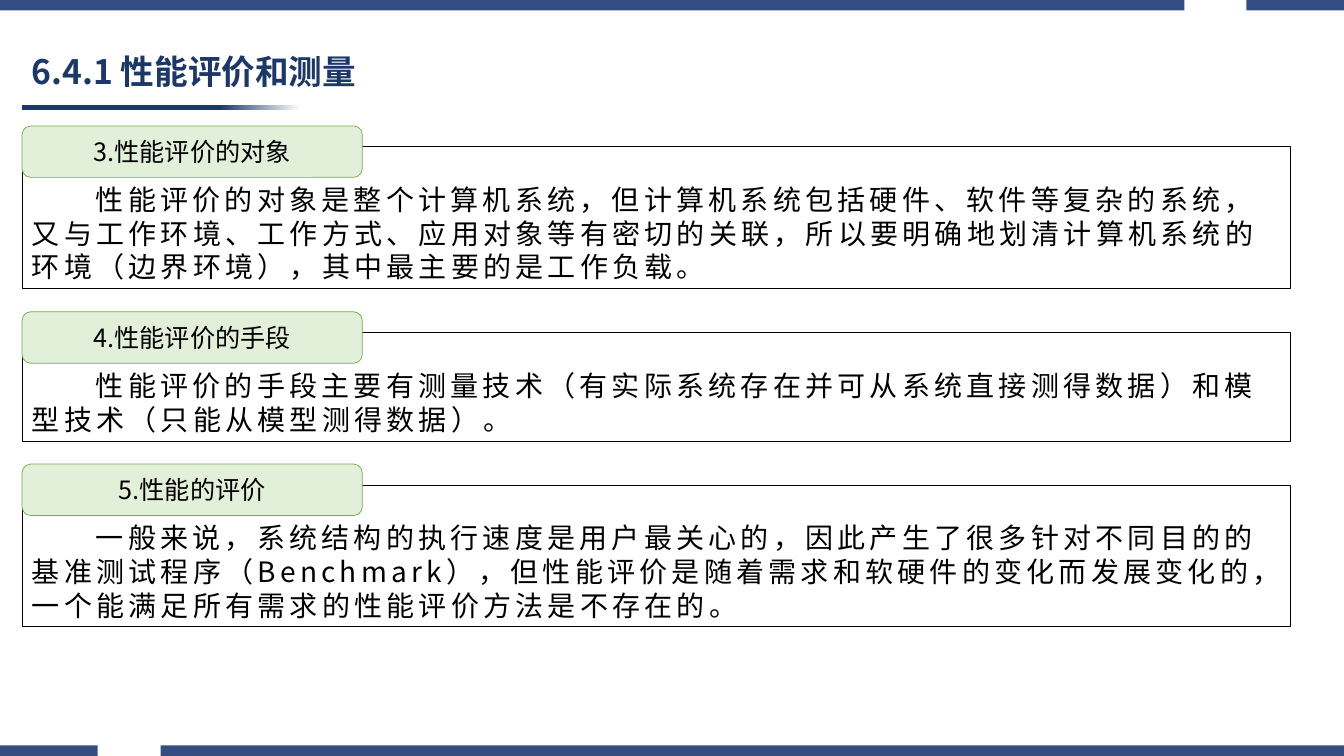
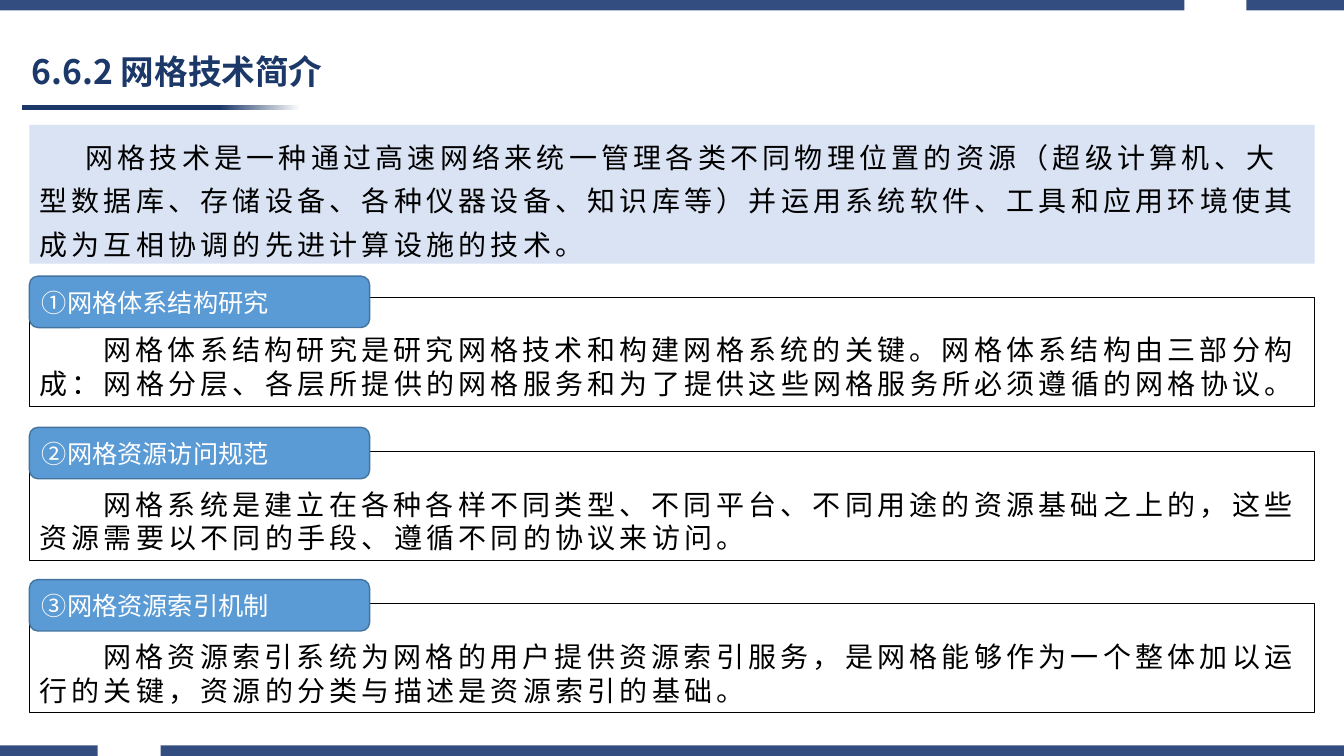
from pptx import Presentation
from pptx.dml.color import RGBColor
from pptx.enum.shapes import MSO_SHAPE
from pptx.enum.text import MSO_ANCHOR, PP_ALIGN
from pptx.util import Pt

RECTANGLE = MSO_SHAPE.RECTANGLE
ROUNDED = MSO_SHAPE.ROUNDED_RECTANGLE
TOP, MIDDLE = MSO_ANCHOR.TOP, MSO_ANCHOR.MIDDLE
LEFT, CENTER = PP_ALIGN.LEFT, PP_ALIGN.CENTER

PX = 9525
WIDTH, HEIGHT = 1280, 720
BAND_HEIGHT = 10
FONT = "Noto Sans CJK SC"
COLORS = {
    "navy": "1B3868", "band": "334D80", "white": "FFFFFF", "black": "000000",
    "green": "E2F0D9", "green_line": "70AD47",
    "blue": "5B9BD5", "blue_line": "43739E", "pale_blue": "DAE3F3",
}
GREEN_TAG = {"fill": "green", "line": "green_line", "line_width": 0.5}
BLUE_TAG = {"fill": "blue", "line": "blue_line", "line_width": 1}

PERFORMANCE_SECTIONS = [
    (120, 140, 135, "3.性能评价的对象",
     "性能评价的对象是整个计算机系统，但计算机系统包括硬件、软件等复杂的系统，又与工作环境、工作方式、应用对象等有密切的关联，所以要明确地划清计算机系统的环境（边界环境），其中最主要的是工作负载。"),
    (297, 317, 104, "4.性能评价的手段",
     "性能评价的手段主要有测量技术（有实际系统存在并可从系统直接测得数据）和模型技术（只能从模型测得数据）。"),
    (442, 462, 135, "5.性能的评价",
     "一般来说，系统结构的执行速度是用户最关心的，因此产生了很多针对不同目的的基准测试程序（Benchmark），但性能评价是随着需求和软硬件的变化而发展变化的，一个能满足所有需求的性能评价方法是不存在的。"),
]
GRID_INTRO = "网格技术是一种通过高速网络来统一管理各类不同物理位置的资源（超级计算机、大型数据库、存储设备、各种仪器设备、知识库等）并运用系统软件、工具和应用环境使其成为互相协调的先进计算设施的技术。"
GRID_SECTIONS = [
    (263, 283, 104, "①网格体系结构研究",
     "网格体系结构研究是研究网格技术和构建网格系统的关键。网格体系结构由三部分构成：网格分层、各层所提供的网格服务和为了提供这些网格服务所必须遵循的网格协议。"),
    (407, 430, 104, "②网格资源访问规范",
     "网格系统是建立在各种各样不同类型、不同平台、不同用途的资源基础之上的，这些资源需要以不同的手段、遵循不同的协议来访问。"),
    (552, 575, 104, "③网格资源索引机制",
     "网格资源索引系统为网格的用户提供资源索引服务，是网格能够作为一个整体加以运行的关键，资源的分类与描述是资源索引的基础。"),
]


def color(name):
    return RGBColor.from_string(COLORS[name])


def emu(*lengths):
    return [length * PX for length in lengths]


def add_box(slide, at, kind=RECTANGLE, fill=None, line=None, line_width=0.75):
    shape = slide.shapes.add_shape(kind, *emu(*at))
    shape.shadow.inherit = False
    if fill:
        shape.fill.solid()
        shape.fill.fore_color.rgb = color(fill)
    else:
        shape.fill.background()
    if line:
        shape.line.color.rgb = color(line)
        shape.line.width = Pt(line_width)
    else:
        shape.line.fill.background()
    return shape


def write_text(shape, text, size=20, ink="black", bold=False, align=LEFT, anchor=TOP,
               inset_top=5, indent=0, tracking=0, line_spacing=None):
    frame = shape.text_frame
    frame.word_wrap = True
    frame.vertical_anchor = anchor
    frame.margin_top = inset_top * PX
    paragraph = frame.paragraphs[0]
    paragraph.alignment = align
    if line_spacing:
        paragraph.line_spacing = line_spacing
    if indent:
        paragraph._p.get_or_add_pPr().set("indent", str(indent * PX))
    run = paragraph.add_run()
    run.text = text
    run.font.size = Pt(size)
    run.font.bold = bold
    run.font.name = FONT
    run.font.color.rgb = color(ink)
    properties = run._r.get_or_add_rPr()
    properties.set("lang", "zh-CN")
    if tracking:
        properties.set("spc", str(tracking * 100))
    east_asian = properties.makeelement(properties.latin.tag.replace("latin", "ea"), {"typeface": FONT})
    properties.latin.addnext(east_asian)


def add_bands(slide):
    bottom = HEIGHT - BAND_HEIGHT
    for start, end, top in [(0, 1128, 0), (1187, WIDTH, 0), (0, 93, bottom), (153, WIDTH, bottom)]:
        add_box(slide, (start, top, end - start, BAND_HEIGHT), fill="band")


def add_title(slide, text):
    underline = add_box(slide, (21, 100, 265, 5))
    underline.fill.gradient()
    underline.fill.gradient_angle = 0
    for stop, (position, name) in zip(underline.fill.gradient_stops, [(0.71, "navy"), (1, "white")]):
        stop.position = position
        stop.color.rgb = color(name)
    title = slide.shapes.add_textbox(*emu(21, 43, 477, 54))
    write_text(title, text, size=24, ink="navy", bold=True, anchor=MIDDLE, line_spacing=0.9)


def add_section(slide, section, left, width, tag_style, tag_ink, tag_align):
    tag_top, body_top, body_height, heading, body = section
    frame = add_box(slide, (left, body_top, width, body_height), line="black")
    write_text(frame, body, inset_top=34, indent=61, tracking=3)
    tag = add_box(slide, (left, tag_top, 324, 49), ROUNDED, **tag_style)
    write_text(tag, heading, size=18, ink=tag_ink, align=tag_align, anchor=MIDDLE)


def add_slide(presentation, title):
    slide = presentation.slides.add_slide(presentation.slide_layouts[6])
    add_bands(slide)
    add_title(slide, title)
    return slide


def main():
    presentation = Presentation()
    presentation.slide_width, presentation.slide_height = emu(WIDTH, HEIGHT)

    slide = add_slide(presentation, "6.4.1 性能评价和测量")
    for section in PERFORMANCE_SECTIONS:
        add_section(slide, section, 21, 1208, GREEN_TAG, "black", CENTER)

    slide = add_slide(presentation, "6.6.2 网格技术简介")
    intro = add_box(slide, (28, 119, 1224, 132), fill="pale_blue")
    write_text(intro, GRID_INTRO, indent=44, tracking=3, line_spacing=1.3)
    for section in GRID_SECTIONS:
        add_section(slide, section, 28, 1224, BLUE_TAG, "white", LEFT)

    presentation.save("out.pptx")


if __name__ == "__main__":
    main()
